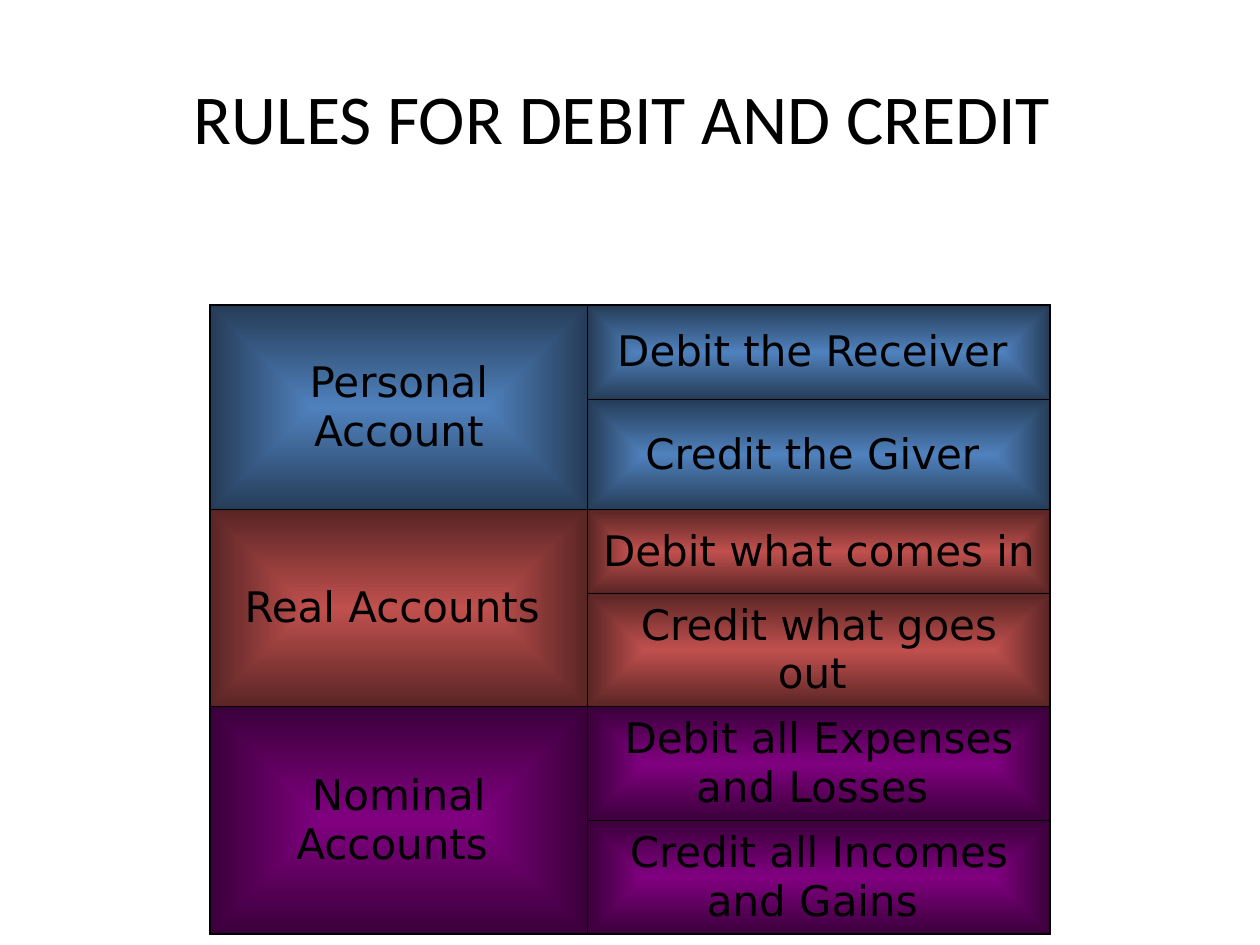
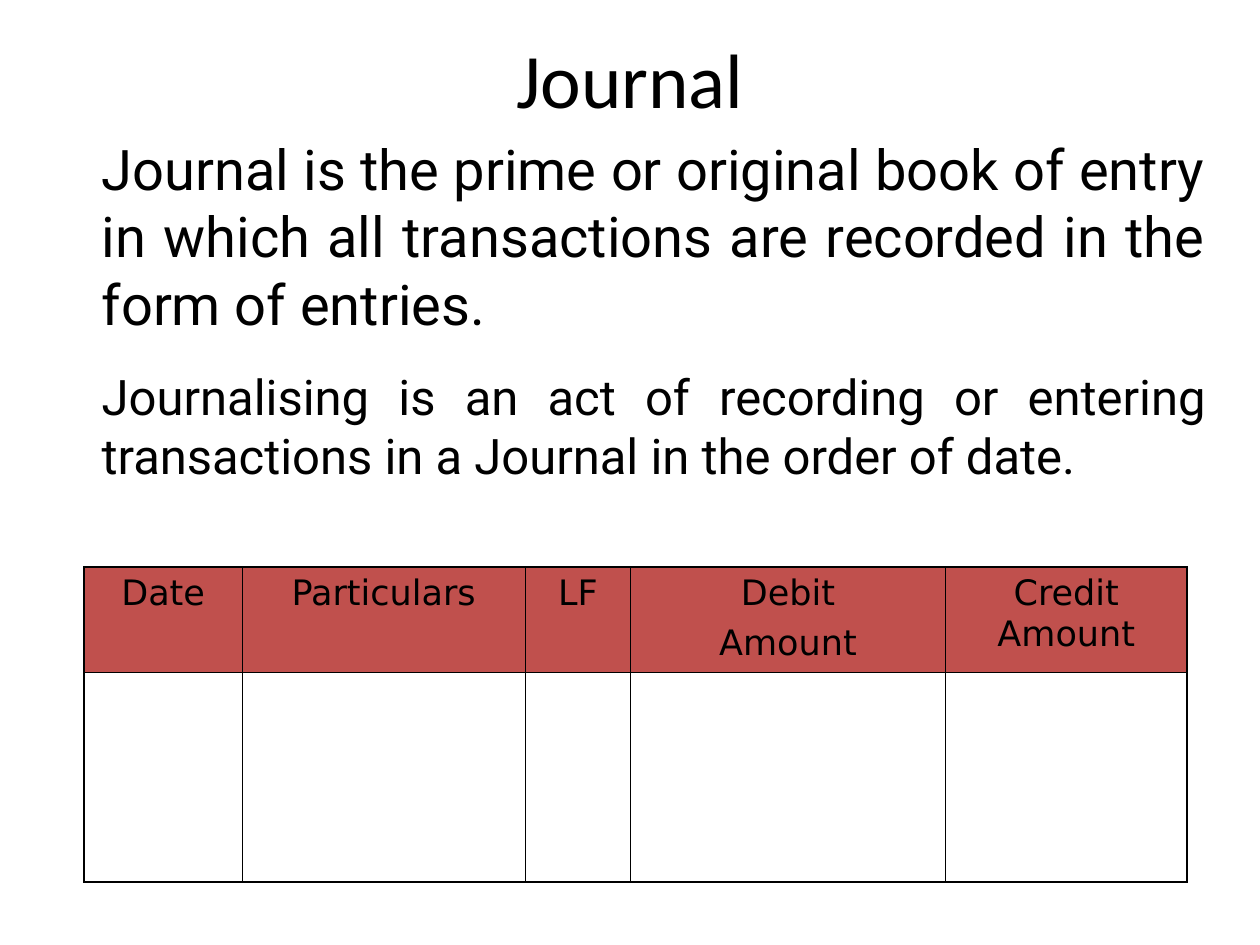
from lxml.etree import SubElement
from pptx import Presentation
from pptx.dml.color import RGBColor
from pptx.enum.text import MSO_ANCHOR, MSO_AUTO_SIZE, PP_ALIGN
from pptx.oxml.ns import qn
from pptx.util import Cm, Pt

COLORS = {
    "text": "000000",
    "blue": "4F81BD", "blue_dark": "253C57",
    "red": "C0504D", "red_dark": "592524",
    "purple": "800080", "purple_dark": "3B003B",
}
TITLE_FONT, BODY_FONT, TABLE_FONT = "Calibri", "Roboto", "DejaVu Sans"
OUTER, INNER = Pt(1.08), Pt(0.45)

prs = Presentation()
prs.slide_width, prs.slide_height = Cm(25.4), Cm(19.05)


def add_titled_slide(text, height, size):
    s = prs.slides.add_slide(prs.slide_layouts[5])
    sp = s.shapes.title
    sp.left, sp.top, sp.width, sp.height = Cm(1.27), Cm(0.76), Cm(22.86), Cm(height)
    tf = sp.text_frame
    tf.text = text
    tf.auto_size = MSO_AUTO_SIZE.NONE
    tf.vertical_anchor = MSO_ANCHOR.MIDDLE
    p = tf.paragraphs[0]
    p.alignment = PP_ALIGN.CENTER
    font = p.runs[0].font
    font.name, font.size = TITLE_FONT, Pt(size)
    font.color.rgb = RGBColor.from_string(COLORS["text"])
    return s


def add_grid(s, left, top, widths, heights):
    """Add an unfilled table with a heavier outer frame."""
    tbl = s.shapes.add_table(len(heights), len(widths), Cm(left), Cm(top),
                             Cm(sum(widths)), Cm(sum(heights))).table
    tbl.first_row = tbl.horz_banding = False
    for col, width in zip(tbl.columns, widths):
        col.width = Cm(width)
    for row, height in zip(tbl.rows, heights):
        row.height = Cm(height)
    for i in range(len(heights)):
        for j in range(len(widths)):
            cell = tbl.cell(i, j)
            edges = {"lnL": j == 0, "lnR": j == len(widths) - 1,
                     "lnT": i == 0, "lnB": i == len(heights) - 1}
            tcPr = cell._tc.get_or_add_tcPr()
            for tag, is_outer in edges.items():
                ln = SubElement(tcPr, qn("a:" + tag), w=str(OUTER if is_outer else INNER))
                SubElement(SubElement(ln, qn("a:solidFill")), qn("a:srgbClr"),
                           val=COLORS["text"])
            cell.fill.background()
    return tbl


# Slide 1: rules table, two rows per account type
s = add_titled_slide("RULES FOR DEBIT AND CREDIT ", 3.18, 40)
rules = [
    ("blue", "Personal Account", "Debit the Receiver ", "Credit the Giver "),
    ("red", "Real Accounts ", "Debit what comes in ", "Credit what goes out "),
    ("purple", "Nominal Accounts ", "Debit all Expenses and Losses ",
     "Credit all Incomes and Gains "),
]
rules_tbl = add_grid(s, 4.23, 6.15, [7.62, 9.32], [1.9, 2.13, 1.68, 2.29, 2.29, 2.29])
for k, (color, account, debit, credit) in enumerate(rules):
    top_row = 2 * k
    rules_tbl.cell(top_row, 0).merge(rules_tbl.cell(top_row + 1, 0))
    rules_tbl.cell(top_row, 0).text = account
    rules_tbl.cell(top_row, 1).text = debit
    rules_tbl.cell(top_row + 1, 1).text = credit
    for row in (top_row, top_row + 1):
        for col in (0, 1):
            cell = rules_tbl.cell(row, col)
            cell.vertical_anchor = MSO_ANCHOR.MIDDLE
            # Rectangular gradient, light in the centre
            tcPr = cell._tc.tcPr
            tcPr.remove(tcPr.find(qn("a:noFill")))
            grad = SubElement(tcPr, qn("a:gradFill"), rotWithShape="1")
            stops = SubElement(grad, qn("a:gsLst"))
            for pos, name in (("0", color), ("100000", color + "_dark")):
                SubElement(SubElement(stops, qn("a:gs"), pos=pos), qn("a:srgbClr"),
                           val=COLORS[name])
            SubElement(SubElement(grad, qn("a:path"), path="rect"), qn("a:fillToRect"),
                       l="50000", t="50000", r="50000", b="50000")
    # The merged account cell takes the frame of its lower half
    lower = rules_tbl.cell(top_row + 1, 0)._tc.tcPr.find(qn("a:lnB"))
    rules_tbl.cell(top_row, 0)._tc.tcPr.find(qn("a:lnB")).set("w", lower.get("w"))

# Slide 2: definitions
s = add_titled_slide("Journal", 1.63, 44)
tf = s.shapes.add_textbox(Cm(1.8), Cm(2.59), Cm(22.76), Cm(14.53)).text_frame
tf.word_wrap = True
definitions = [
    ("Journal is the prime or original book of entry in which all transactions are "
     "recorded in the form of entries. ", 32, 20),
    ("Journalising is an act of recording or entering transactions in a Journal in "
     "the order of date.", 28, 17.5),
]
tf.text = "\n".join(text for text, _, _ in definitions)
for p, (_, size, space) in zip(tf.paragraphs, definitions):
    p.alignment = PP_ALIGN.JUSTIFY
    p.space_before = Pt(space)
    font = p.runs[0].font
    font.name, font.size = BODY_FONT, Pt(size)
    font.color.rgb = RGBColor.from_string(COLORS["text"])

# Slide 2: blank journal form
journal_tbl = add_grid(s, 1.7, 11.43, [3.18, 5.71, 2.12, 6.35, 4.87], [2.13, 4.22])
headings = ["Date", "Particulars", "LF", "Debit\nAmount", "Credit Amount"]
for j, heading in enumerate(headings):
    cell = journal_tbl.cell(0, j)
    cell.text = heading
    cell.fill.solid()
    cell.fill.fore_color.rgb = RGBColor.from_string(COLORS["red"])

# Text style of both tables
for tbl, size, space in ((rules_tbl, 24, 6), (journal_tbl, 20, 5)):
    for cell in tbl.iter_cells():
        for p in cell.text_frame.paragraphs:
            p.alignment = PP_ALIGN.CENTER
            p.space_before = Pt(space)
            for r in p.runs:
                r.font.name, r.font.size = TABLE_FONT, Pt(size)
                r.font.color.rgb = RGBColor.from_string(COLORS["text"])

prs.save("out.pptx")
